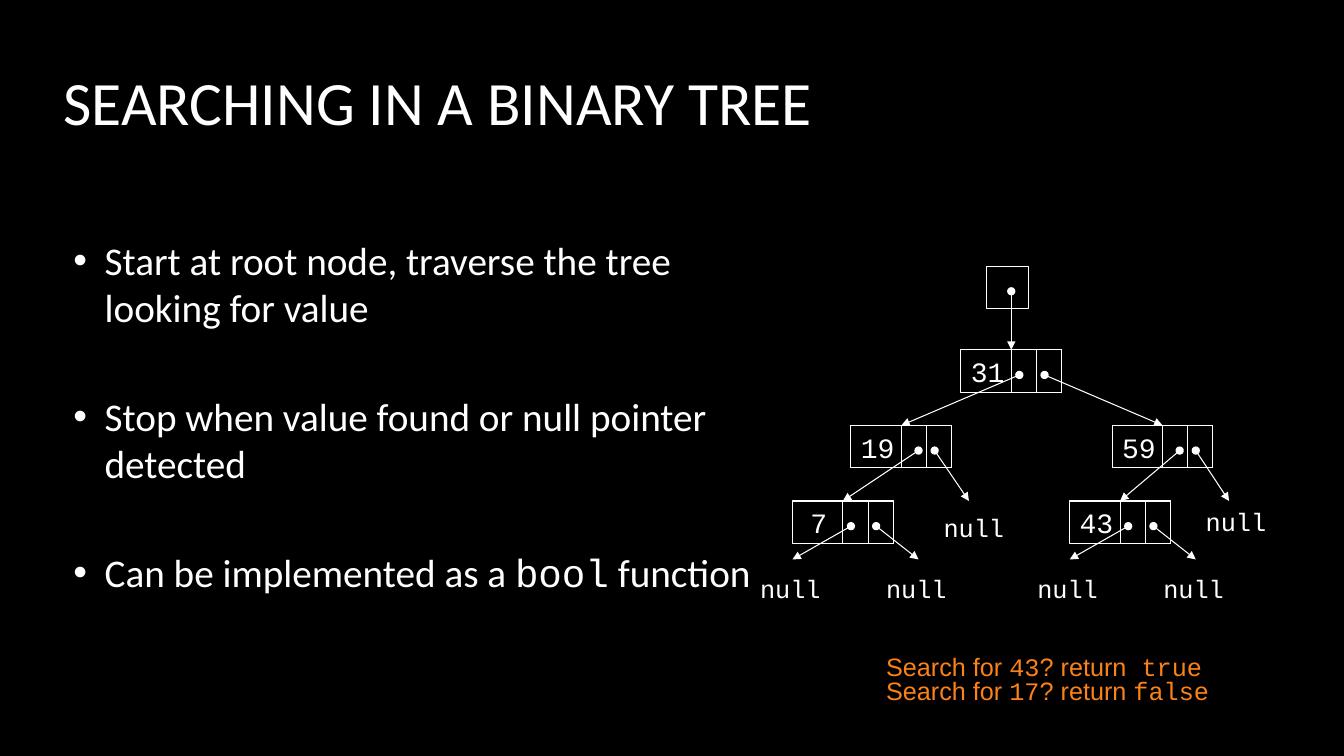
"""Builds a slide on searching in a binary tree."""
import pptx
import pptx.util
import pptx.dml.color
import pptx.enum.shapes
import pptx.enum.text
import pptx.oxml.ns
import lxml.etree

Inches = pptx.util.Inches
Pt = pptx.util.Pt
ANCHOR = pptx.enum.text.MSO_ANCHOR
HUES = {"back": "000000", "ink": "FFFFFF", "note": "FA8218"}
SANS, MONO, PLAIN = "Calibri", "Courier New", "Arial"


def tint(name):
    return pptx.dml.color.RGBColor.from_string(HUES[name])


def add_text(para, text, font=SANS, size=18, hue="ink"):
    run = para.add_run()
    run.text = text
    run.font.name = font
    run.font.size = Pt(size)
    run.font.color.rgb = tint(hue)


def add_part(parent, tag, **keys):
    return lxml.etree.SubElement(parent, pptx.oxml.ns.qn("a:" + tag), **keys)


class Board:
    def __init__(self, slide):
        self.shapes = slide.shapes
        self.weight = Pt(0.75)
        slide.background.fill.solid()
        slide.background.fill.fore_color.rgb = tint("back")

    def text(self, x, y, w, h, lines, wrap=False, anchor=ANCHOR.TOP, **style):
        frame = self.shapes.add_textbox(Inches(x), Inches(y), Inches(w), Inches(h)).text_frame
        frame.word_wrap = wrap
        frame.vertical_anchor = anchor
        if not wrap:
            frame.auto_size = pptx.enum.text.MSO_AUTO_SIZE.SHAPE_TO_FIT_TEXT
        for i, line in enumerate(lines):
            para = frame.paragraphs[0] if i == 0 else frame.add_paragraph()
            for words, font in line:
                add_text(para, words, font=font, **style)
        return frame.paragraphs

    def bullets(self, paras, gap):
        for para in paras:
            props = para._p.get_or_add_pPr()
            props.set("marL", str(Inches(0.31)))
            props.set("indent", str(-Inches(0.31)))
            add_part(add_part(props, "buClr"), "srgbClr", val=HUES["ink"])
            add_part(props, "buFont", typeface=PLAIN)
            add_part(props, "buChar", char="•")
        for para in paras[:-1]:
            para.space_after = Pt(gap)

    def box(self, x, y, w, h=0.42):
        kind = pptx.enum.shapes.MSO_SHAPE.RECTANGLE
        box = self.shapes.add_shape(kind, Inches(x), Inches(y), Inches(w), Inches(h))
        box.shadow.inherit = False
        box.fill.background()
        box.line.color.rgb = tint("ink")
        box.line.width = self.weight

    def arrow(self, start, end):
        kind = pptx.enum.shapes.MSO_CONNECTOR.STRAIGHT
        line = self.shapes.add_connector(kind, *map(Inches, start + end))
        line.line.color.rgb = tint("ink")
        line.line.width = self.weight
        stroke = line.line._get_or_add_ln()
        add_part(stroke, "headEnd", type="oval")
        add_part(stroke, "tailEnd", type="triangle")
        add_part(line._element.spPr, "effectLst")

    def node(self, value, x, y, dots, ends, drop):
        self.box(x, y, 1)
        for step in (0.5, 0.75):
            self.box(x + step, y, 0.25)
        for dot, end in zip(dots, ends):
            self.arrow((x + dot, y + 0.25), (end, y + drop))
        shift, width = (0.08, 0.38) if len(value) == 1 else (0, 0.55)
        self.text(x + shift, y, width, 0.43, [[(value, MONO)]], size=20)


def main():
    deck = pptx.Presentation()
    deck.slide_width, deck.slide_height = Inches(13.33), Inches(7.5)
    board = Board(deck.slides.add_slide(deck.slide_layouts[6]))

    board.text(0.53, 0.21, 11.08, 1.59, [[("SEARCHING IN A BINARY TREE", SANS)]],
               wrap=True, anchor=ANCHOR.MIDDLE, size=44)
    points = [
        [("Start at root node, traverse the tree looking for value", SANS)],
        [("Stop when value found or null pointer detected", SANS)],
        [("Can be implemented as a ", SANS), ("bool", MONO), (" function", SANS)],
    ]
    paras = board.text(0.63, 2.1, 7.09, 4.05, points,
                       wrap=True, anchor=ANCHOR.MIDDLE, size=28)
    board.bullets(paras, 44)

    board.box(9.78, 2.64, 0.42)
    board.arrow((10.03, 2.89), (10.03, 3.47))
    wide, close = (0.58, 0.83), (0.67, 0.83)
    nodes = [
        ("31", 9.53, 3.47, wide, (8.94, 11.53), 0.75),
        ("19", 8.44, 4.22, close, (8.36, 9.61), 0.75),
        ("59", 11.03, 4.22, close, (11.11, 12.19), 0.75),
        ("7", 7.86, 4.97, wide, (7.86, 9.11), 0.58),
        ("43", 10.61, 4.97, wide, (10.61, 11.86), 0.58),
    ]
    for node in nodes:
        board.node(*node)
    leaves = [(9.26, 5.03), (11.86, 4.97), (7.44, 5.64), (8.69, 5.64),
              (10.19, 5.64), (11.44, 5.64)]
    for x, y in leaves:
        board.text(x, y, 0.8, 0.4, [[("null", MONO)]])

    notes = [
        [("Search for ", PLAIN), ("43", MONO), ("? return", PLAIN), (" true", MONO)],
        [("Search for ", PLAIN), ("17", MONO), ("? return ", PLAIN), ("false", MONO)],
    ]
    for para in board.text(8.69, 6.47, 3.43, 0.6, notes, hue="note"):
        para.line_spacing = 0.8

    deck.save("out.pptx")


if __name__ == "__main__":
    main()
